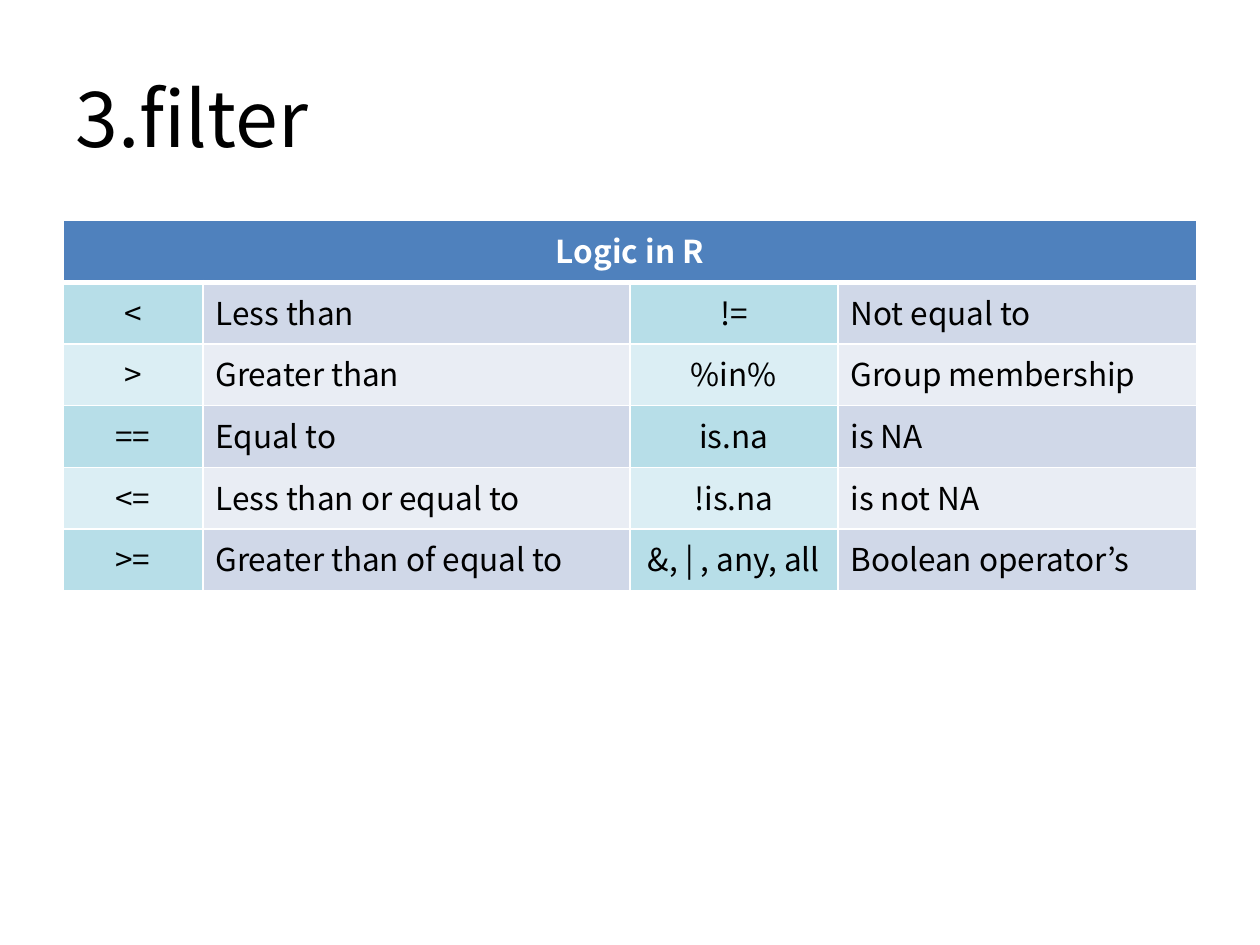
import dataclasses
import typing

import lxml.etree
import pptx
import pptx.dml.color
import pptx.enum.text
import pptx.oxml.ns
import pptx.util

Inches = pptx.util.Inches
Align = pptx.enum.text.PP_ALIGN
Anchor = pptx.enum.text.MSO_ANCHOR


@dataclasses.dataclass(frozen=True)
class Theme:
    font: str = "Noto Sans CJK KR"
    big: int = 44
    small: int = 18
    dark: str = "000000"
    light: str = "FFFFFF"
    head: str = "4F81BD"
    signs: tuple = ("B7DEE8", "DBEEF4")  # odd and even rows
    notes: tuple = ("D0D8E8", "E9EDF4")
    thin: float = 1
    thick: float = 3


class Rule(typing.NamedTuple):
    sign: str
    note: str


THEME = Theme()
LEFT = [
    Rule("<", "Less than"),
    Rule(">", "Greater than"),
    Rule("==", "Equal to"),
    Rule("<=", "Less than or equal to"),
    Rule(">=", "Greater than of equal to"),
]
RIGHT = [
    Rule("!=", "Not equal to"),
    Rule("%in%", "Group membership"),
    Rule("is.na", "is NA"),
    Rule("!is.na", "is not NA"),
    Rule("&, | , any, all", "Boolean operator’s"),
]
WIDTHS = (1.11, 3.39, 1.65, 2.85)
ROW = 0.49


def color(code: str) -> pptx.dml.color.RGBColor:
    return pptx.dml.color.RGBColor.from_string(code)


def put(item: typing.Any, values: dict) -> None:
    for name, value in values.items():
        setattr(item, name, value)


def write(frame: typing.Any, text: str, size: int, code: str,
          align: Align, bold: bool = False) -> None:
    line = frame.paragraphs[0]
    line.alignment = align
    run = line.add_run()
    run.text = text
    put(run.font, {"name": THEME.font, "size": pptx.util.Pt(size), "bold": bold})
    run.font.color.rgb = color(code)


def edge(cell: typing.Any, top: float, base: float) -> None:
    """Draw the four borders; call before the fill is set."""
    tag = pptx.oxml.ns.qn
    props = cell._tc.get_or_add_tcPr()
    sides = {"lnL": THEME.thin, "lnR": THEME.thin, "lnT": top, "lnB": base}
    for side, width in sides.items():
        line = lxml.etree.SubElement(props, tag("a:" + side), w=str(pptx.util.Pt(width)))
        fill = lxml.etree.SubElement(line, tag("a:solidFill"))
        lxml.etree.SubElement(fill, tag("a:srgbClr"), val=THEME.light)


def paint(cell: typing.Any, code: str) -> None:
    cell.fill.solid()
    cell.fill.fore_color.rgb = color(code)


def draw_title(slide: typing.Any, text: str) -> None:
    title = slide.shapes.title
    put(title, {"left": Inches(0.5), "top": Inches(0.3),
                "width": Inches(9), "height": Inches(1.25)})
    put(title.text_frame, {"vertical_anchor": Anchor.MIDDLE, "word_wrap": True,
                           "auto_size": pptx.enum.text.MSO_AUTO_SIZE.NONE})
    write(title.text_frame, text, THEME.big, THEME.dark, Align.LEFT)


def draw_table(slide: typing.Any, head: str) -> None:
    count = len(LEFT) + 1
    table = slide.shapes.add_table(
        count, len(WIDTHS), Inches(0.5), Inches(1.75),
        Inches(sum(WIDTHS)), Inches(ROW * count)).table
    for column, width in zip(table.columns, WIDTHS):
        column.width = Inches(width)
    for row in table.rows:
        row.height = Inches(ROW)

    # Header across all columns
    for cell in table.rows[0].cells:
        edge(cell, THEME.thin, THEME.thick)
        paint(cell, THEME.head)
    first = table.cell(0, 0)
    first.merge(table.cell(0, len(WIDTHS) - 1))
    write(first.text_frame, head, THEME.small, THEME.light, Align.CENTER, True)

    # Two pairs of sign and meaning in each row
    for index, pair in enumerate(zip(LEFT, RIGHT)):
        texts = [text for rule in pair for text in rule]
        for place, text in enumerate(texts):
            cell = table.cell(index + 1, place)
            is_sign = place % 2 == 0
            edge(cell, THEME.thin if index else THEME.thick, THEME.thin)
            paint(cell, (THEME.signs if is_sign else THEME.notes)[index % 2])
            write(cell.text_frame, text, THEME.small, THEME.dark,
                  Align.CENTER if is_sign else Align.LEFT)


def main() -> None:
    deck = pptx.Presentation()
    put(deck, {"slide_width": Inches(10), "slide_height": Inches(7.5)})
    slide = deck.slides.add_slide(deck.slide_layouts[5])  # title only
    draw_title(slide, "3.filter")
    draw_table(slide, "Logic in R")
    deck.save("out.pptx")


if __name__ == "__main__":
    main()
